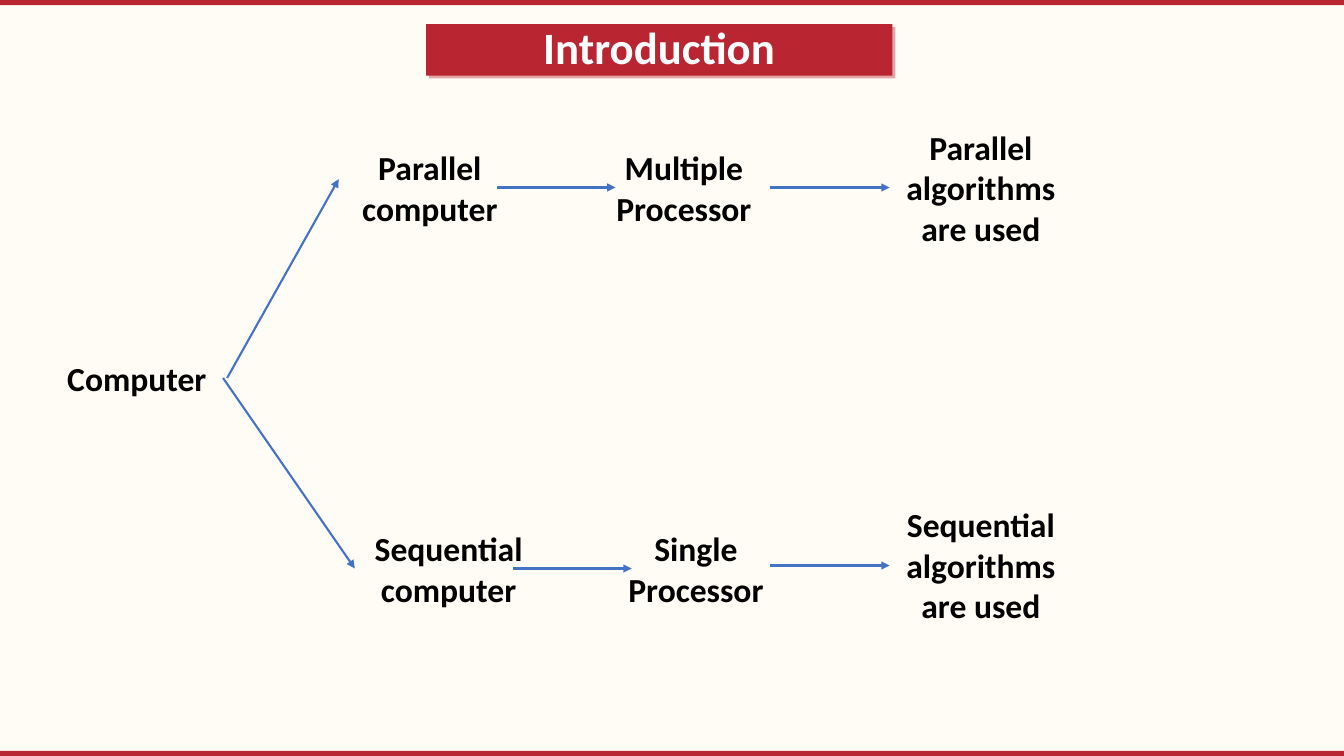
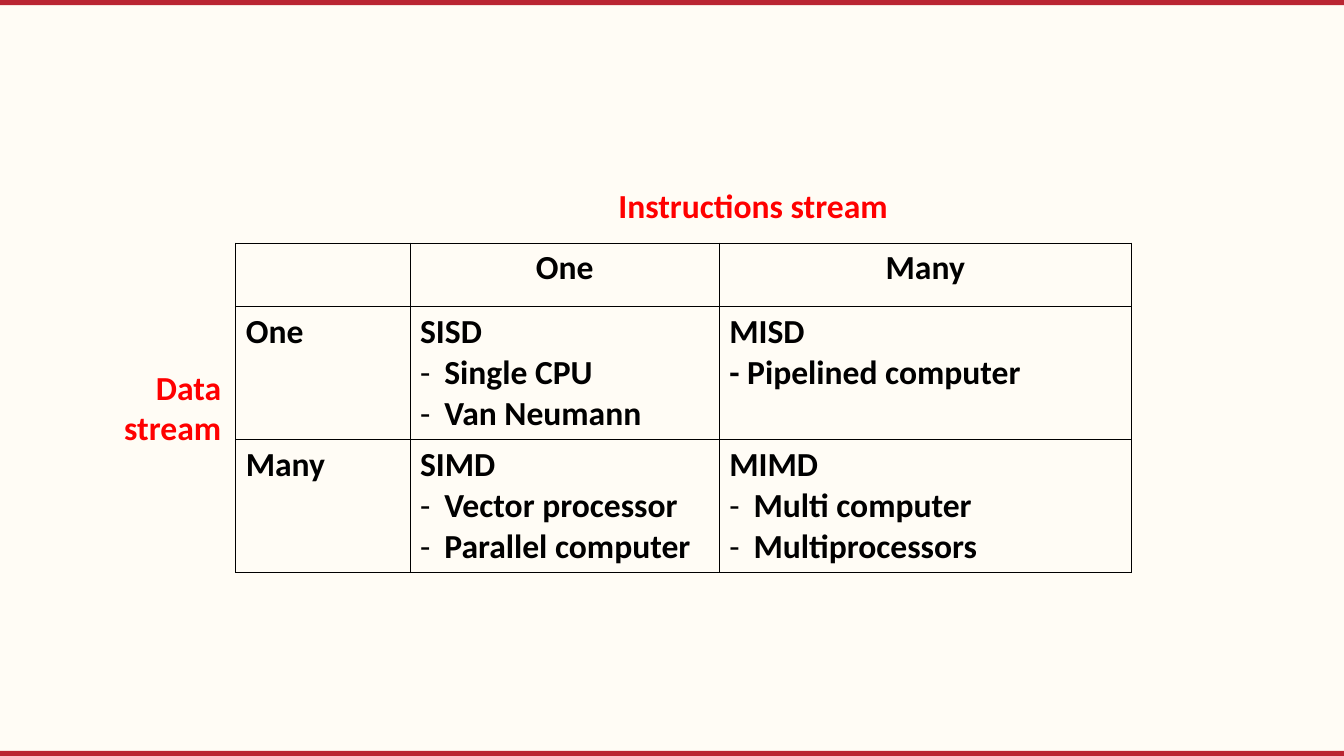
from dataclasses import dataclass

from lxml import etree
from pptx import Presentation
from pptx import util as u
from pptx.dml.color import RGBColor
from pptx.enum import shapes, text
from pptx.oxml import ns, parse_xml

WIDE, HIGH = 13.34, 7.5
CREAM, RED, BLUE = "FFFCF5", "BA2532", "4472C4"
BLACK, WHITE, ALERT = "000000", "FFFFFF", "FF0000"
BODY = {"name": "Calibri", "size": u.Pt(24), "bold": True}
HEAD = {**BODY, "size": u.Pt(32)}
LEFT, MID, RIGHT = (text.PP_ALIGN.LEFT, text.PP_ALIGN.CENTER,
                    text.PP_ALIGN.RIGHT)
BAND = 0.67   # band height in rows
LINE = 5.33   # one line of body text in rows
PAD = 1.33    # top and bottom inset of a label in rows
TOP, LOW = 24.8, 75.2   # centre rows of the two branches


@dataclass
class Label:
    words: str
    col: float
    row: float      # vertical centre
    lines: int = 2
    wide: float = 13.57
    color: str = BLACK
    align: text.PP_ALIGN = MID


@dataclass
class Arrow:
    col: float
    row: float
    to_col: float
    to_row: float


LABELS = [
    Label("Computer", 3.4, 50, 1),
    Label("Parallel computer", 25.2, TOP),
    Label("Multiple Processor", 44.1, TOP),
    Label("Parallel algorithms are used", 66.2, TOP, 3),
    Label("Sequential computer", 26.6, LOW),
    Label("Single Processor", 45, LOW),
    Label("Sequential algorithms are used", 66.2, 74.7, 3),
]
ARROWS = [
    Arrow(16.9, 50, 25.2, 23.7),
    Arrow(16.6, 50, 26.4, LOW),
    Arrow(37, TOP, 45.8, TOP),
    Arrow(57.3, TOP, 66.2, TOP),
    Arrow(38.2, LOW, 47, LOW),
    Arrow(57.3, 74.8, 66.2, 74.8),
]
AXES = [
    Label("Instructions stream", 45.28, 27.07, 1, 22.4, ALERT, LEFT),
    Label("Data\nstream", 5.6, 53.87, 2, 11.6, ALERT, RIGHT),
]
# A leading * marks a bulleted line
CELLS = [
    ["", "One", "Many"],
    ["One", "SISD\n*Single CPU\n*Van Neumann", "MISD\n- Pipelined computer"],
    ["Many", "SIMD\n*Vector processor\n*Parallel computer",
     "MIMD\n*Multi computer\n*Multiprocessors"],
]
COLS, ROWS = [12.97, 23.01, 30.66], [8.4, 17.33, 17.33]


# Grid of 100 columns by 100 rows
def across(cols: float) -> u.Emu:
    return u.Inches(WIDE * cols / 100)


def down(rows: float) -> u.Emu:
    return u.Inches(HIGH * rows / 100)


def place(col: float, row: float, wide: float, high: float) -> tuple:
    return across(col), down(row), across(wide), down(high)


def paint(fill, color: str) -> None:
    fill.solid()
    fill.fore_color.rgb = RGBColor.from_string(color)


def node(tag: str, inner: str = "", attrs: str = ""):
    return parse_xml(f"<a:{tag} {ns.nsdecls('a')} {attrs}>{inner}</a:{tag}>")


def tint(color: str, inner: str = "") -> str:
    return f'<a:srgbClr val="{color}">{inner}</a:srgbClr>'


def write(frame, words: str, color: str, align, style: dict) -> None:
    for i, line in enumerate(words.split("\n")):
        para = frame.add_paragraph() if i else frame.paragraphs[0]
        para.alignment = align
        if line.startswith("*"):
            props = para._p.get_or_add_pPr()
            indent = u.Inches(0.24)
            props.set("marL", str(indent))
            props.set("indent", str(-indent))
            props.append(node("buClr", tint(BLACK)))
            props.append(node("buFont", attrs='typeface="Calibri"'))
            props.append(node("buChar", attrs='char="-"'))
        run = para.add_run()
        run.text = line.removeprefix("*")
        for key, value in style.items():
            setattr(run.font, key, value)
        run.font.color.rgb = RGBColor.from_string(color)


def add_bands(slide, master) -> None:
    """Draw both bands, then hand them to the master."""
    for row in (0, 100 - BAND):
        band = slide.shapes.add_shape(shapes.MSO_SHAPE.RECTANGLE,
                                      *place(0, row, 100, BAND))
        band.shadow.inherit = False
        paint(band.fill, RED)
        band.line.fill.background()
        master.shapes._spTree.insert(2, band._element)


def add_title(slide, words: str) -> None:
    title = slide.shapes.title
    title.left, title.top, title.width, title.height = place(
        31.7, 3.2, 34.7, 6.8)
    props = title._element.spPr
    props.append(node("prstGeom", "<a:avLst/>", 'prst="roundRect"'))
    paint(title.fill, RED)
    title.line.fill.background()
    shade = tint(RED, '<a:alpha val="40000"/>')
    props.append(node("effectLst", '<a:outerShdw blurRad="0" dist="38100" '
                      f'dir="2700000" algn="tl">{shade}</a:outerShdw>'))
    frame = title.text_frame
    frame.auto_size = text.MSO_AUTO_SIZE.NONE
    frame.vertical_anchor = text.MSO_ANCHOR.MIDDLE
    write(frame, words, WHITE, MID, HEAD)
    frame.paragraphs[0].line_spacing = 0.9


def add_label(slide, label: Label) -> None:
    high = label.lines * LINE + PAD
    box = slide.shapes.add_textbox(
        *place(label.col, label.row - high / 2, label.wide, high))
    box.text_frame.word_wrap = True
    write(box.text_frame, label.words, label.color, label.align, BODY)


def add_arrow(slide, arrow: Arrow) -> None:
    link = slide.shapes.add_connector(
        shapes.MSO_CONNECTOR.STRAIGHT, across(arrow.col), down(arrow.row),
        across(arrow.to_col), down(arrow.to_row))
    paint(link.line.fill, BLUE)
    link.line.width = u.Pt(1.5)
    link.line._get_or_add_ln().append(node("tailEnd", attrs='type="triangle"'))
    etree.SubElement(link._element.spPr, ns.qn("a:effectLst"))


def add_grid(slide) -> None:
    table = slide.shapes.add_table(
        len(ROWS), len(COLS),
        *place(17.54, 32.13, sum(COLS), sum(ROWS))).table
    table.first_row = table.horz_banding = False
    for col, wide in zip(table.columns, COLS):
        col.width = across(wide)
    for r, line in enumerate(CELLS):
        table.rows[r].height = down(ROWS[r])
        for c, words in enumerate(line):
            cell = table.cell(r, c)
            props = cell._tc.get_or_add_tcPr()
            for side in "LRTB":
                props.append(node(
                    f"ln{side}", f"<a:solidFill>{tint(BLACK)}</a:solidFill>",
                    f'w="{u.Pt(0.45)}"'))
            cell.fill.background()
            if words:
                write(cell.text_frame, words, BLACK, LEFT if r else MID, BODY)


def main() -> None:
    deck = Presentation()
    deck.slide_width, deck.slide_height = u.Inches(WIDE), u.Inches(HIGH)
    paint(deck.slide_master.background.fill, CREAM)

    # Introduction: two branches
    intro = deck.slides.add_slide(deck.slide_layouts[5])
    add_bands(intro, deck.slide_master)
    add_title(intro, "Introduction")
    for label in LABELS:
        add_label(intro, label)
    for arrow in ARROWS:
        add_arrow(intro, arrow)

    # Instruction and data streams
    streams = deck.slides.add_slide(deck.slide_layouts[6])
    add_grid(streams)
    for label in AXES:
        add_label(streams, label)

    deck.save("out.pptx")


if __name__ == "__main__":
    main()
